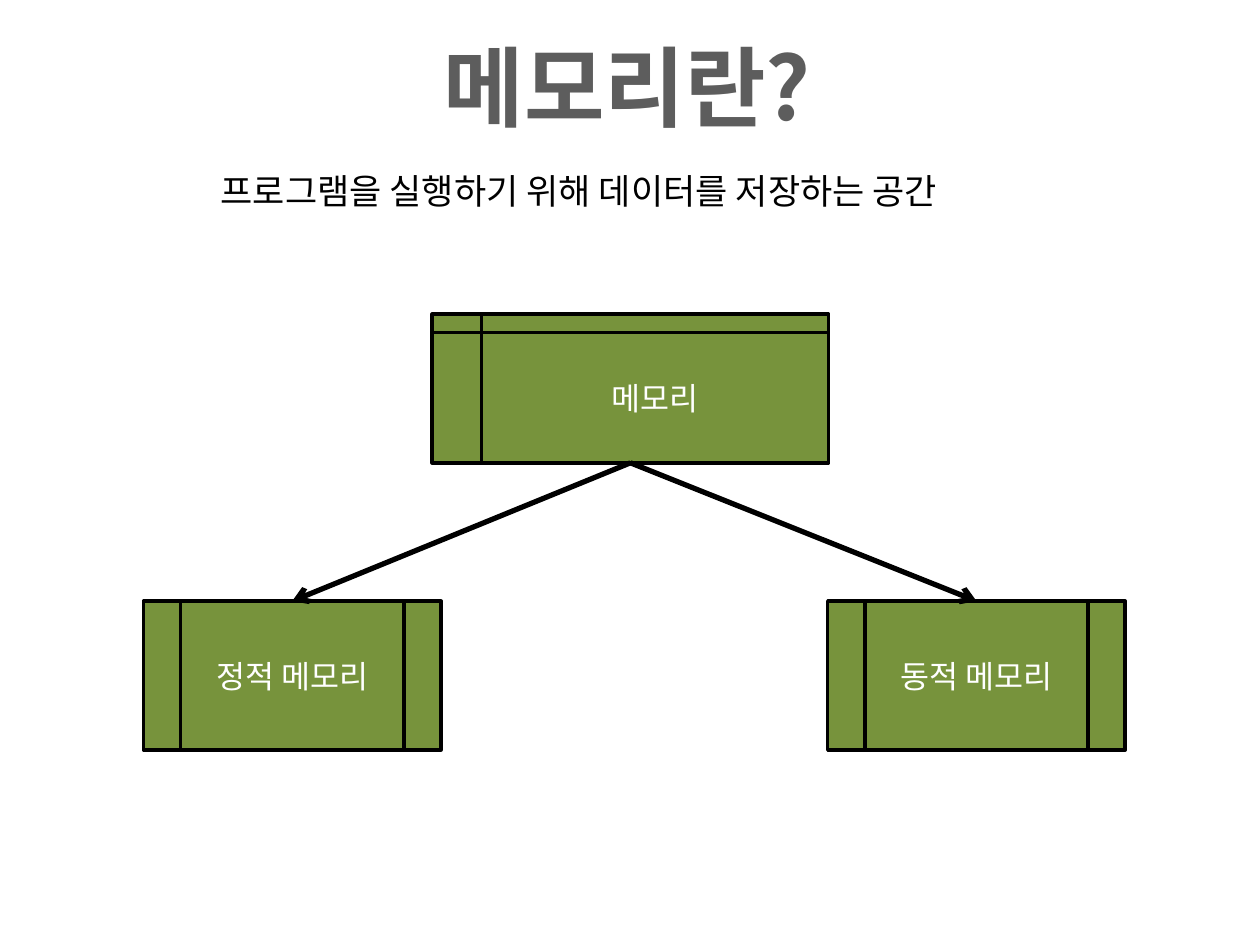
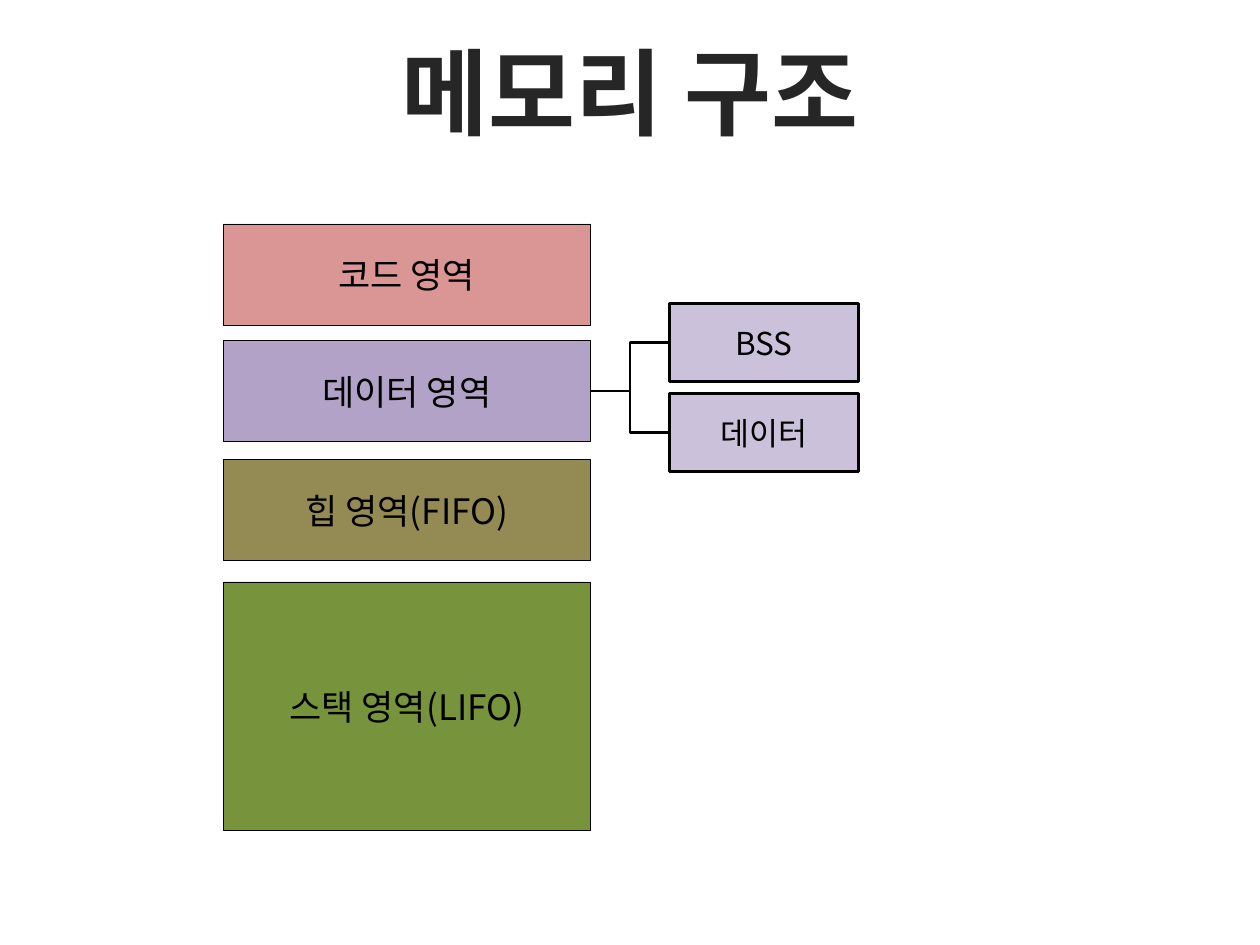
from pptx import Presentation
from pptx.dml.color import RGBColor
from pptx.enum.shapes import MSO_CONNECTOR, MSO_SHAPE
from pptx.enum.text import MSO_ANCHOR, MSO_AUTO_SIZE, PP_ALIGN
from pptx.oxml.ns import qn
from pptx.util import Pt
from lxml.etree import SubElement

FONT = "Noto Sans CJK KR"
COLORS = {
    "black": "000000",
    "white": "FFFFFF",
    "gray": "5D5D5D",
    "charcoal": "262626",
    "green": "77933C",
    "olive": "948A54",
    "purple": "B3A2C7",
    "lilac": "CCC1DA",
    "rose": "D99694",
}
TOP, LEFT, BOTTOM, RIGHT = range(4)


def color(name):
    """Return the named palette colour."""
    return RGBColor.from_string(COLORS[name])


def write(shape, text, size, ink, align=PP_ALIGN.CENTER, bold=False):
    """Write one formatted run into a shape."""
    para = shape.text_frame.paragraphs[0]
    para.alignment = align
    span = para.add_run()
    span.text = text
    span.font.name = FONT
    span.font.size = Pt(size)
    span.font.bold = bold
    span.font.color.rgb = color(ink)
    SubElement(span.font._element, qn("a:ea"), typeface=FONT)


def place(shape, left, top, width, height):
    """Set the position and size of a shape in points."""
    shape.left, shape.top = Pt(left), Pt(top)
    shape.width, shape.height = Pt(width), Pt(height)


def add_titled_page(deck, text, bounds, size, ink):
    """Add a title-only slide with its title formatted."""
    page = deck.slides.add_slide(deck.slide_layouts[5])
    title = page.shapes.title
    place(title, *bounds)
    frame = title.text_frame
    frame.word_wrap = False
    frame.auto_size = MSO_AUTO_SIZE.NONE
    frame.vertical_anchor = MSO_ANCHOR.TOP
    write(title, text, size, ink, bold=True)
    return page


def add_caption(page, text, bounds, size):
    """Add a left-aligned line of text."""
    box = page.shapes.add_textbox(*map(Pt, bounds))
    box.text_frame.word_wrap = False
    write(box, text, size, "black", PP_ALIGN.LEFT)


def add_box(page, text, bounds, fill, kind=MSO_SHAPE.RECTANGLE,
            line=2, size=18, ink="black"):
    """Add a filled, outlined shape with centred text."""
    box = page.shapes.add_shape(kind, *map(Pt, bounds))
    box.shadow.inherit = False
    box.fill.solid()
    box.fill.fore_color.rgb = color(fill)
    box.line.color.rgb = color("black")
    box.line.width = Pt(line)
    box.text_frame.vertical_anchor = MSO_ANCHOR.MIDDLE
    write(box, text, size, ink)
    return box


def connect(page, kind, start, start_site, end, end_site, width, arrow=False):
    """Join two shapes with a black connector."""
    link = page.shapes.add_connector(kind, 0, 0, 0, 0)
    link.begin_connect(start, start_site)
    link.end_connect(end, end_site)
    link.line.color.rgb = color("black")
    link.line.width = Pt(width)
    if arrow:
        SubElement(link.line._get_or_add_ln(), qn("a:tailEnd"), type="arrow")
    SubElement(link._element.spPr, qn("a:effectLst"))


def build_definition(deck):
    """Build the slide that defines memory and its two kinds."""
    page = add_titled_page(deck, "메모리란?", (239, 15, 239, 68), 50, "gray")
    add_caption(page, "프로그램을 실행하기 위해 데이터를 저장하는 공간",
                (119, 93.5, 474, 32), 20)
    memory = add_box(page, "메모리", (247, 179.5, 226.5, 85), "green",
                     MSO_SHAPE.FLOWCHART_INTERNAL_STORAGE, ink="white")
    for text, left in (("정적 메모리", 82), ("동적 메모리", 473)):
        kind = add_box(page, text, (left, 343.5, 170, 85), "green",
                       MSO_SHAPE.FLOWCHART_PREDEFINED_PROCESS, ink="white")
        connect(page, MSO_CONNECTOR.STRAIGHT, memory, BOTTOM, kind, TOP, 3, True)


def build_structure(deck):
    """Build the slide that shows the memory areas."""
    page = add_titled_page(deck, "메모리 구조", (206.5, 16, 307, 73), 54, "charcoal")
    areas = (
        ("코드 영역", 128, 58, "rose"),
        ("데이터 영역", 194.5, 58, "purple"),
        ("힙 영역(FIFO)", 262.5, 58, "olive"),
        ("스택 영역(LIFO)", 332.5, 142, "green"),
    )
    boxes = [add_box(page, text, (127.5, top, 210, height), fill, line=0.33, size=20)
             for text, top, height, fill in areas]
    data_area = boxes[1]
    for text, top in (("BSS", 173.5), ("데이터", 225)):
        part = add_box(page, text, (382.5, top, 108, 44.5), "lilac")
        connect(page, MSO_CONNECTOR.ELBOW, data_area, RIGHT, part, LEFT, 1.5)


def main():
    """Build and save the deck."""
    deck = Presentation()
    deck.slide_width, deck.slide_height = Pt(720), Pt(540)
    build_definition(deck)
    build_structure(deck)
    deck.save("out.pptx")


main()
